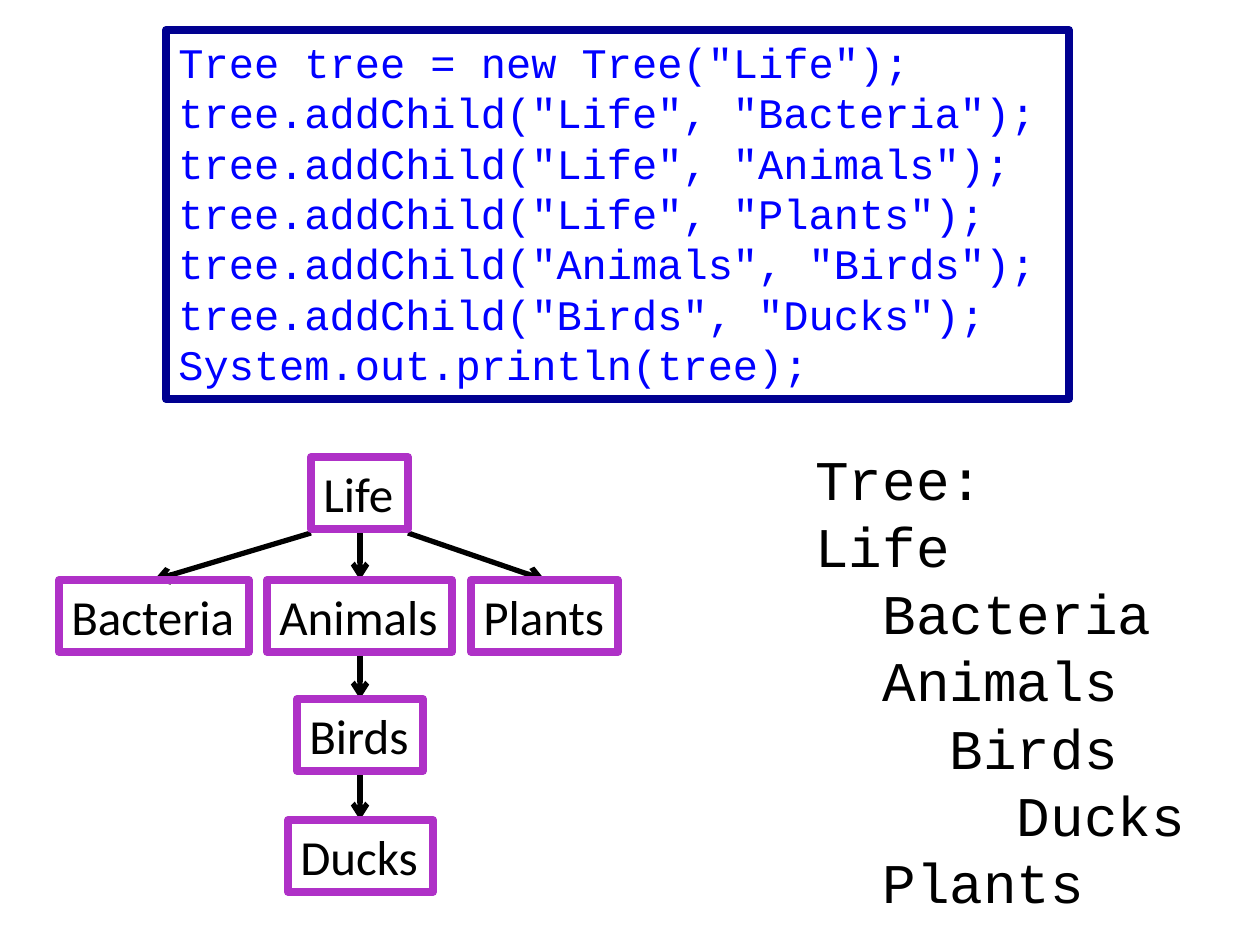
from lxml import etree
from pptx import Presentation
from pptx.dml.color import RGBColor
from pptx.enum.shapes import MSO_CONNECTOR
from pptx.enum.text import MSO_AUTO_SIZE
from pptx.oxml.ns import qn
from pptx.util import Emu, Pt

STRAIGHT = MSO_CONNECTOR.STRAIGHT
FIT_SHAPE = MSO_AUTO_SIZE.SHAPE_TO_FIT_TEXT
PX_PER_INCH = 126

NAVY, BLUE, PURPLE, BLACK = "000090", "0000FF", "AF31C7", "000000"
NODE_HEIGHT = 72

CODE = """Tree tree = new Tree("Life");
tree.addChild("Life", "Bacteria");
tree.addChild("Life", "Animals");
tree.addChild("Life", "Plants");
tree.addChild("Animals", "Birds");
tree.addChild("Birds", "Ducks");
System.out.println(tree);"""

# Console output: the leading spaces are what the program prints
OUTPUT = """Tree:
Life
  Bacteria
  Animals
    Birds
      Ducks
  Plants"""

# Name: left, top, width
NODES = {
    "Life": (311, 457, 97),
    "Bacteria": (59, 580, 190),
    "Animals": (267, 580, 185),
    "Plants": (471, 580, 147),
    "Birds": (297, 699, 126),
    "Ducks": (288, 820, 145),
}

# Start and end points
ARROWS = [
    ((311, 533), (154, 580)),
    ((360, 533), (360, 580)),
    ((408, 533), (545, 580)),
    ((360, 651), (360, 699)),
    ((360, 771), (360, 820)),
]


def px(length):
    return Emu(round(length * 914400 / PX_PER_INCH))


def color(hex_text):
    return RGBColor.from_string(hex_text)


def add_text(page, area, text, font, size, text_color, border=None, wrap=False):
    box = page.shapes.add_textbox(*map(px, area))
    frame = box.text_frame
    frame.word_wrap = wrap
    frame.auto_size = FIT_SHAPE
    frame.text = text
    for para in frame.paragraphs:
        for span in para.runs:
            span.font.name = font
            span.font.size = Pt(size)
            span.font.color.rgb = color(text_color)
    if border:
        box.line.color.rgb = color(border)
        box.line.width = Pt(4.5)


def add_node(page, name, left, top, width):
    add_text(page, (left, top, width, NODE_HEIGHT), name,
             "Calibri", 28, BLACK, border=PURPLE)


def add_arrow(page, start, end):
    arrow = page.shapes.add_connector(STRAIGHT, *map(px, start + end))
    arrow.line.color.rgb = color(BLACK)
    arrow.line.width = Pt(3)
    etree.SubElement(arrow.line._get_or_add_ln(), qn("a:tailEnd"), type="arrow")
    etree.SubElement(arrow._element.spPr, qn("a:effectLst"))


def main():
    deck = Presentation()
    deck.slide_width, deck.slide_height = px(1260), px(945)
    page = deck.slides.add_slide(deck.slide_layouts[6])

    # Code and what it prints
    add_text(page, (166, 30, 903, 369), CODE,
             "Courier New", 24, BLUE, border=NAVY, wrap=True)
    add_text(page, (803, 438, 398, 488), OUTPUT, "Courier New", 32, BLACK)

    # Tree diagram
    for start, end in ARROWS:
        add_arrow(page, start, end)
    for name, place in NODES.items():
        add_node(page, name, *place)

    deck.save("out.pptx")


if __name__ == "__main__":
    main()
